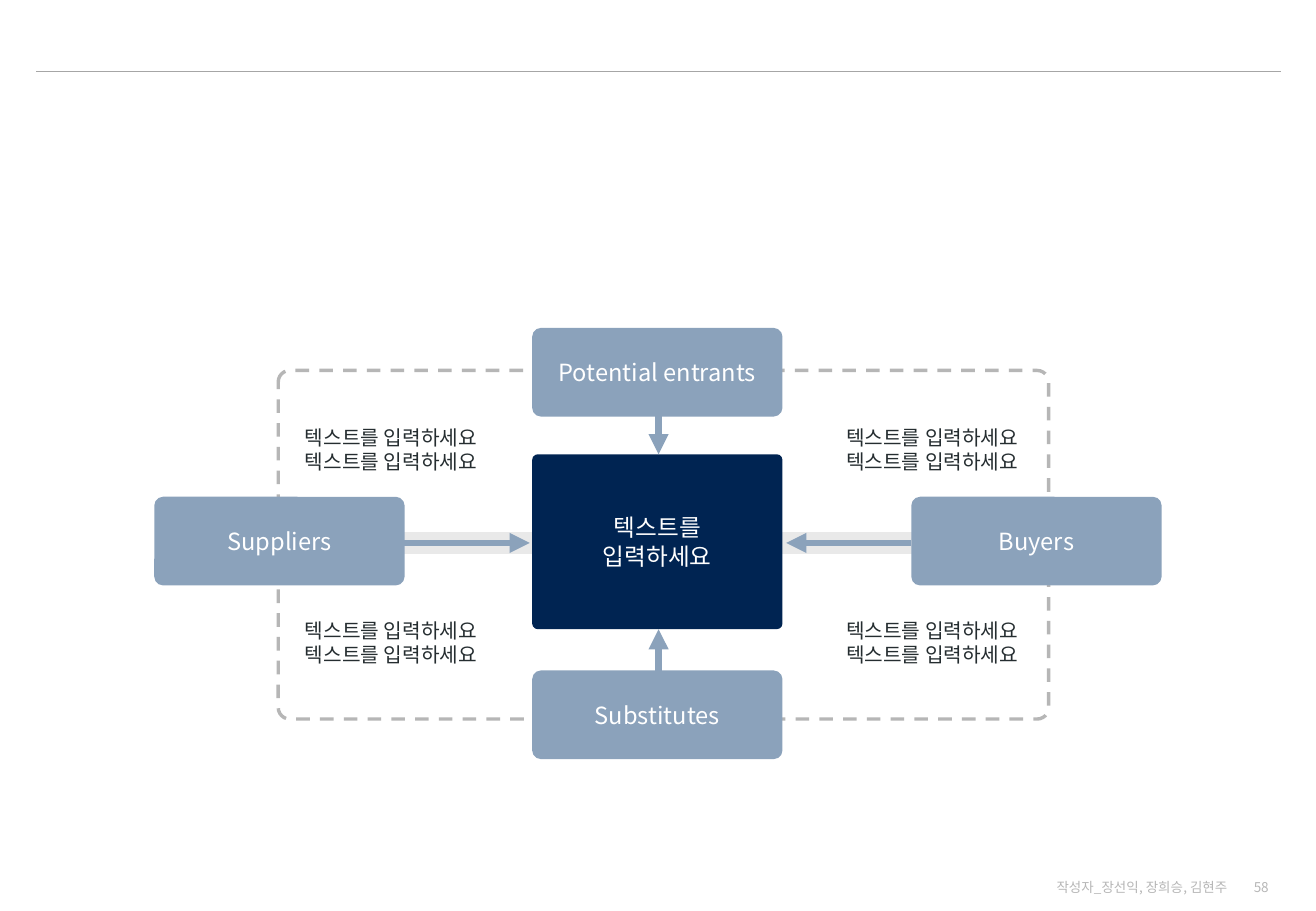
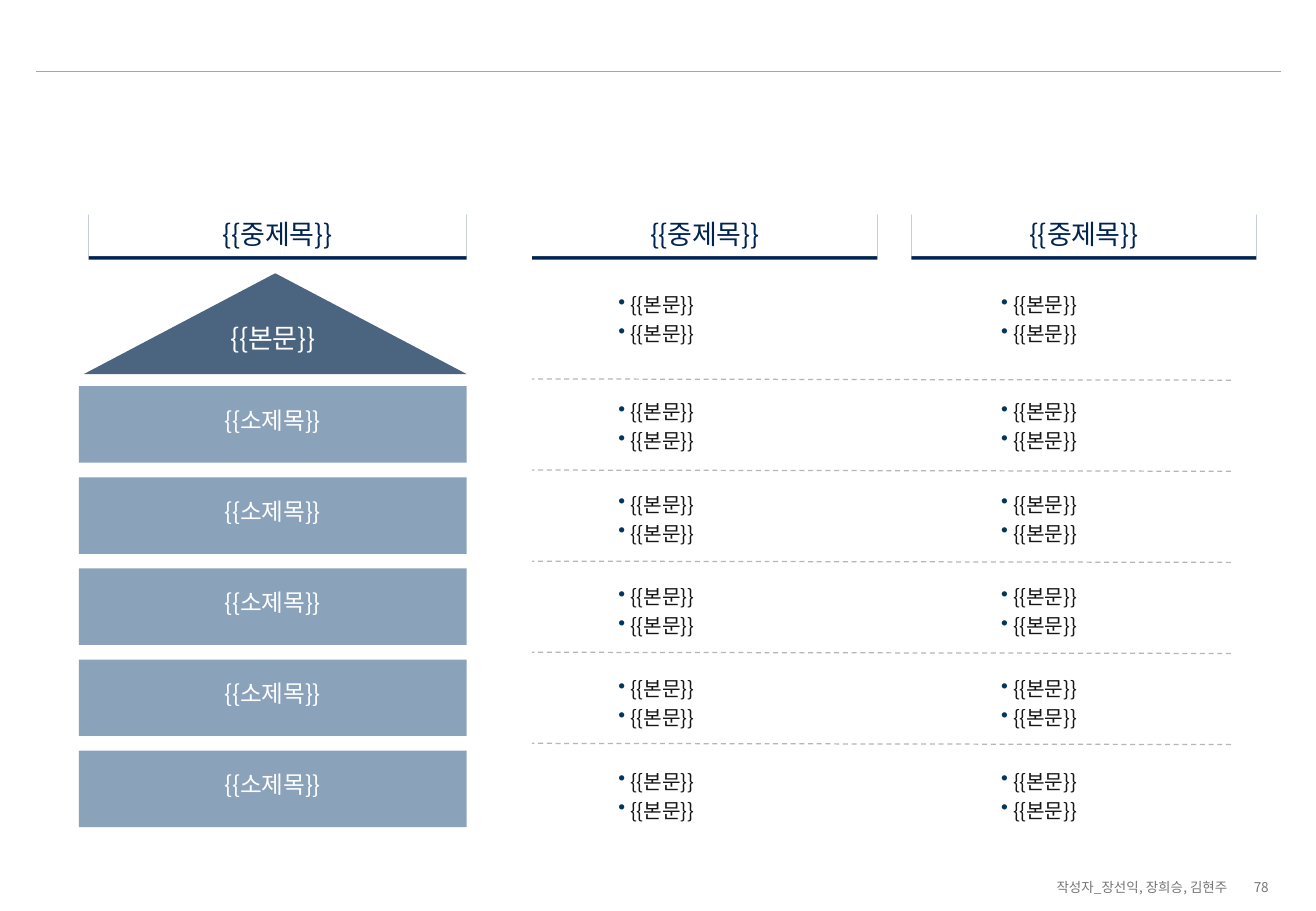
from lxml.etree import SubElement
from pptx import Presentation
from pptx.dml.color import RGBColor
from pptx.enum.dml import MSO_LINE
from pptx.enum.shapes import MSO_CONNECTOR, MSO_SHAPE
from pptx.enum.text import MSO_ANCHOR as Anchor, PP_ALIGN as Align
from pptx.oxml.ns import qn
from pptx.util import Inches, Pt

FONT = "Noto Sans CJK KR"
COLORS = {
    "navy": "002452", "slate": "4B6580", "steel": "8BA2BB", "white": "FFFFFF",
    "band": "E9E9E9", "dash": "B6B6B6", "rule": "A6A6A6", "footer": "757575",
    "note": "252D30", "body": "161516", "bullet": "003760",
}
LABEL = {"size": 14, "color": "white", "align": Align.CENTER, "anchor": Anchor.MIDDLE}
HEADING = {"size": 16, "color": "navy", "align": Align.CENTER,
           "anchor": Anchor.BOTTOM, "tracking": -20}
ROOF = {**HEADING, "color": "white", "anchor": Anchor.TOP}
PILLAR = {**LABEL, "tracking": -20, "insets": (0, 0, 0, 0.08), "wrap": False}
BODY = {"size": 12, "color": "body", "tracking": -20, "bullet": "•"}
NOTE = {"size": 12, "color": "note", "insets": (0.04,) * 4}
FOOTER = {"size": 8, "align": Align.RIGHT, "anchor": Anchor.MIDDLE}


def rgb(name):
    return RGBColor.from_string(COLORS[name])


def write(shape, lines, size, color, align=Align.LEFT, anchor=Anchor.TOP,
          insets=(0.1, 0.05, 0.1, 0.05), wrap=True, tracking=0, bullet=None):
    frame = shape.text_frame
    frame.word_wrap = wrap
    frame.vertical_anchor = anchor
    for side, inset in zip(("left", "top", "right", "bottom"), insets):
        setattr(frame, f"margin_{side}", Inches(inset))
    for index, line in enumerate(lines):
        para = frame.add_paragraph() if index else frame.paragraphs[0]
        para.alignment = align
        if bullet:
            add_bullet(para, bullet)
        span = para.add_run()
        span.text = line
        for name, value in {"size": Pt(size), "name": FONT, "bold": False}.items():
            setattr(span.font, name, value)
        span.font.color.rgb = rgb(color)
        props = span.font._element
        SubElement(props, qn("a:ea"), typeface=FONT)
        if tracking:
            props.set("spc", str(tracking))


def add_bullet(para, mark):
    para.line_spacing = 1.2
    props = para._p.get_or_add_pPr()
    props.set("marL", str(Inches(0.1)))
    props.set("indent", str(Inches(-0.1)))
    tint = SubElement(props, qn("a:buClr"))
    SubElement(tint, qn("a:srgbClr"), val=COLORS["bullet"])
    SubElement(props, qn("a:buChar"), char=mark)


def add_text(page, box, lines, **style):
    shape = page.shapes.add_textbox(*map(Inches, box))
    write(shape, lines, **style)
    return shape


def add_box(page, kind, box, fill=None, radius=None):
    shape = page.shapes.add_shape(kind, *map(Inches, box))
    shape.shadow.inherit = False
    shape.line.fill.background()
    if fill:
        shape.fill.solid()
        shape.fill.fore_color.rgb = rgb(fill)
    else:
        shape.fill.background()
    if radius is not None:
        shape.adjustments[0] = radius
    return shape


def style_line(line, color, width, dashed=False):
    line.color.rgb = rgb(color)
    line.width = Pt(width)
    if dashed:
        line.dash_style = MSO_LINE.DASH


def add_line(page, start, end, color, width, dashed=False, arrow=False):
    line = page.shapes.add_connector(
        MSO_CONNECTOR.STRAIGHT, *map(Inches, (*start, *end)))
    style_line(line.line, color, width, dashed)
    if arrow:
        SubElement(line.line._get_or_add_ln(), qn("a:tailEnd"), type="triangle")
    SubElement(line._element.spPr, qn("a:effectLst"))


def add_page(deck, number, footer_color):
    page = deck.slides.add_slide(deck.slide_layouts[6])
    add_line(page, (0.3, 0.59), (10.54, 0.59), "rule", 0.5)
    for left, width, text in ((10.13, 0.41, str(number)),
                              (8.52, 1.68, "작성자_장선익, 장희승, 김현주")):
        add_text(page, (left, 7.22, width, 0.16), [text], color=footer_color, **FOOTER)
    return page


def add_five_forces(page, left, top):
    """Four forces around a core; left and top locate the whole diagram."""
    rounded = MSO_SHAPE.ROUNDED_RECTANGLE
    width, height = 2.06, 0.73
    core_left, core_top, core_height = left + 3.11, top + 1.04, 1.44
    middle_x, middle_y = core_left + 1.04, top + 1.77

    frame = add_box(page, rounded, (left + 1.02, top + 0.35, 6.34, 2.87), radius=0.033)
    style_line(frame.line, "dash", 2, dashed=True)
    add_box(page, rounded, (left + 1.11, top + 1.68, 6.15, 0.18), "band", 0.02)
    core = add_box(page, rounded, (core_left, core_top, width, core_height), "navy", 0.032)
    write(core, ["텍스트를 입력하세요"], insets=(0.24, 0.05, 0.24, 0.05), **LABEL)

    forces = (("Potential entrants", core_left, top),
              ("Substitutes", core_left, top + 2.82),
              ("Suppliers", left, top + 1.39),
              ("Buyers", left + 6.23, top + 1.39))
    for name, x, y in forces:
        force = add_box(page, rounded, (x, y, width, height), "steel", 0.099)
        write(force, [name], **LABEL)

    core_bottom = core_top + core_height
    arrows = (((middle_x, top + 0.62), (middle_x, core_top)),
              ((middle_x, core_bottom + 0.43), (middle_x, core_bottom)),
              ((left + 6.23, middle_y), (core_left + 2.09, middle_y)),
              ((left + 1.98, middle_y), (core_left - 0.02, middle_y)))
    for start, end in arrows:
        add_line(page, start, end, "steel", 4, arrow=True)

    for x, align in ((left + 1.2, Align.LEFT), (left + 5.52, Align.RIGHT)):
        for y in (top + 0.76, top + 2.35):
            add_text(page, (x, y, 1.63, 0.41), ["텍스트를 입력하세요"] * 2,
                     align=align, **NOTE)


def add_heading(page, left, top, width):
    """White title bar whose hard shadow forms the underline."""
    shape = add_box(page, MSO_SHAPE.RECTANGLE, (left, top, width, 0.37), "white")
    effects = shape._element.spPr.find(qn("a:effectLst"))
    shadow = SubElement(effects, qn("a:outerShdw"), blurRad="0", dist=str(Pt(2)),
                        dir="5400000", algn="t", rotWithShape="0")
    SubElement(shadow, qn("a:srgbClr"), val=COLORS["navy"])
    write(shape, ["{{중제목}}"], **HEADING)


def add_house(page, left, top, width, count=5, pitch=0.75):
    add_box(page, MSO_SHAPE.ISOSCELES_TRIANGLE,
            (left + 0.04, top, width - 0.04, 0.83), "slate")
    add_text(page, (left + 0.4, top + 0.35, 2.39, 0.36), ["{{본문}}"], **ROOF)
    for row in range(count):
        pillar = add_box(page, MSO_SHAPE.RECTANGLE,
                         (left, top + 0.93 + row * pitch, width, 0.63), "steel")
        write(pillar, ["{{소제목}}"], **PILLAR)


def add_details(page, left, top, columns, count=5):
    """Bullet columns with dashed separators under all rows but the last."""
    for row in range(count):
        y = top + 0.8 + row * 0.75
        add_line(page, (left + 5.75, y + 0.01), (left, y), "dash", 0.75, dashed=True)
    row_tops = [top] + [top + 0.88 + row * 0.76 for row in range(count)]
    for x in columns:
        for y in row_tops:
            add_text(page, (x, y, 1.72, 0.58), ["{{본문}}"] * 2, **BODY)


def main():
    deck = Presentation()
    deck.slide_width, deck.slide_height = Inches(10.83), Inches(7.5)

    add_five_forces(add_page(deck, 58, "dash"), 1.27, 2.7)

    page = add_page(deck, 78, "footer")
    add_house(page, 0.65, 2.25, 3.19)
    add_details(page, 4.38, 2.32, columns=(4.99, 8.14))
    for left, width in ((0.73, 3.11), (4.38, 2.84), (7.5, 2.84)):
        add_heading(page, left, 1.74, width)

    deck.save("out.pptx")


if __name__ == "__main__":
    main()
